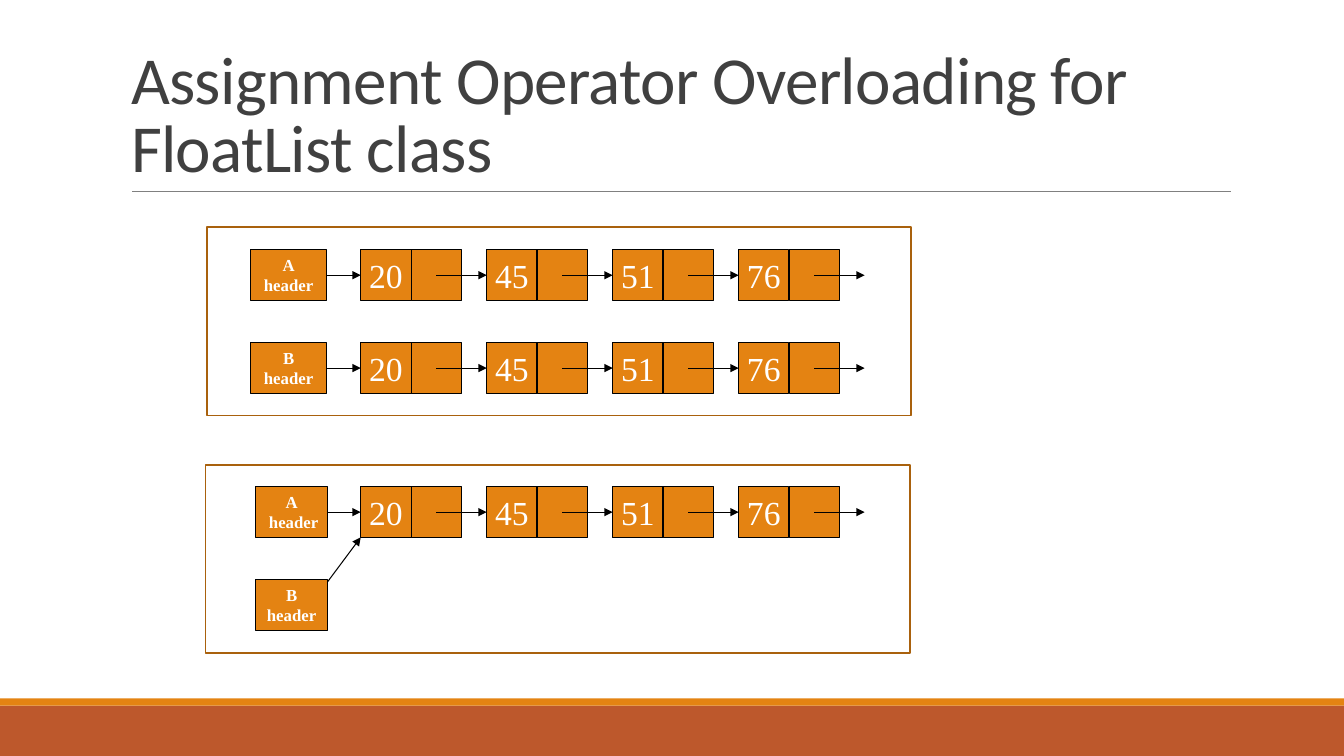
from dataclasses import dataclass
from typing import Any

from lxml.etree import SubElement as Sub
from pptx import Presentation as Deck
from pptx.dml.color import RGBColor as Color
from pptx.enum.shapes import MSO_CONNECTOR as Link, MSO_SHAPE as Form
from pptx.enum.text import MSO_ANCHOR as Anchor, MSO_AUTO_SIZE as Fit, PP_ALIGN as Align
from pptx.oxml.ns import qn
from pptx.util import Cm, Pt

HUES = {
    "white": "FFFFFF",
    "black": "000000",
    "orange": "E48312",
    "rust": "BD582C",
    "brown": "A9610D",
    "grey": "808080",
    "dark": "404040",
}
CELL = 1.27
PITCH = 2.5 * CELL
CHAIN = 9.09
TAIL = CHAIN - CELL
VALUES = ("20", "45", "51", "76")
BIG = {"name": "Times New Roman", "size": Pt(24), "bold": False}
SMALL = {"name": "Times New Roman", "size": Pt(12), "bold": True}
HEAD = {"name": "Calibri", "size": Pt(48), "bold": False}


@dataclass
class Box:
    left: float
    top: float
    width: float
    height: float
    fill: str = ""
    line: str = ""
    weight: float = 0.75
    text: str = ""


@dataclass
class Row:
    """A header and its nodes; one with no nodes points up to the list above."""
    label: str
    left: float
    width: float
    top: float
    nodes: tuple[str, ...] = VALUES


BARS = (
    Box(0, 17.78, 33.87, 1.27, "rust"),
    Box(0, 17.6, 33.87, 0.18, "orange"),
)
ROWS = (
    Row("A\n header", 6.45, 1.8, 12.27),
    Row("B\nheader", 6.45, 1.8, 14.61, ()),
    Row("A\nheader", 6.32, 1.91, 6.3),
    Row("B\nheader", 6.32, 1.91, 8.64),
)
FRAMES = (
    Box(5.21, 5.72, 17.75, 4.75, line="brown", weight=1.25),
    Box(5.18, 11.71, 17.75, 4.75, line="brown", weight=1.25),
)


def hue(name: str) -> Color:
    return Color.from_string(HUES[name])


def style(item: Any, form: dict[str, Any]) -> None:
    for key, value in form.items():
        setattr(item, key, value)


def write(frame: Any, text: str, font: dict[str, Any], tint: str, form: dict[str, Any]) -> None:
    frame.text = text
    for para in frame.paragraphs:
        style(para, form)
        for run in para.runs:
            style(run.font, font)
            run.font.color.rgb = hue(tint)


def draw(slide: Any, box: Box, font: dict[str, Any] = BIG) -> None:
    shape = slide.shapes.add_shape(
        Form.RECTANGLE, Cm(box.left), Cm(box.top), Cm(box.width), Cm(box.height))
    shape.shadow.inherit = False
    if box.fill:
        shape.fill.solid()
        shape.fill.fore_color.rgb = hue(box.fill)
    else:
        shape.fill.background()
    if box.line:
        shape.line.color.rgb = hue(box.line)
        shape.line.width = Pt(box.weight)
    else:
        shape.line.fill.background()
    if box.text:
        style(shape.text_frame, {"word_wrap": False, "vertical_anchor": Anchor.MIDDLE})
        write(shape.text_frame, box.text, font, "white", {"alignment": Align.CENTER})


def join(slide: Any, start: tuple[float, float], end: tuple[float, float],
         tint: str = "black", weight: float = 0.75, arrow: bool = True) -> None:
    line = slide.shapes.add_connector(
        Link.STRAIGHT, Cm(start[0]), Cm(start[1]), Cm(end[0]), Cm(end[1]))
    line.line.color.rgb = hue(tint)
    line.line.width = Pt(weight)
    if arrow:
        Sub(line.line._get_or_add_ln(), qn("a:tailEnd"), type="triangle")
    Sub(line._element.spPr, qn("a:effectLst"))


def chain(slide: Any, row: Row) -> None:
    mid = row.top + CELL / 2
    for rank, value in enumerate(row.nodes):
        left = CHAIN + rank * PITCH
        for side, text in enumerate((value, "")):
            draw(slide, Box(left + side * CELL, row.top, CELL, CELL, "orange", "black", text=text))
        join(slide, (left + 1.5 * CELL, mid), (left + PITCH, mid))
    goal = mid if row.nodes else ROWS[0].top + CELL
    join(slide, (TAIL, mid), (CHAIN, goal))
    draw(slide, Box(row.left, row.top, row.width, CELL, "orange", "black", text=row.label), SMALL)


def title(slide: Any, text: str) -> None:
    shape = slide.shapes.title
    style(shape, {"left": Cm(3.05), "top": Cm(0.79), "width": Cm(27.94), "height": Cm(4.04)})
    style(shape.text_frame, {
        "word_wrap": True, "auto_size": Fit.NONE, "vertical_anchor": Anchor.BOTTOM})
    write(shape.text_frame, text, HEAD, "dark", {"alignment": Align.LEFT, "line_spacing": 0.85})
    for run in shape.text_frame.paragraphs[0].runs:
        run.font._element.set("spc", "-50")


def main() -> None:
    deck = Deck()
    style(deck, {"slide_width": Cm(33.87), "slide_height": Cm(19.05)})
    slide = deck.slides.add_slide(deck.slide_layouts[5])
    for bar in BARS:
        draw(slide, bar)
    join(slide, (3.33, 4.83), (31.01, 4.83), "grey", 0.5, False)
    title(slide, "Assignment Operator Overloading for FloatList class")
    for row in ROWS:
        chain(slide, row)
    for frame in FRAMES:
        draw(slide, frame)
    deck.save("out.pptx")


if __name__ == "__main__":
    main()
